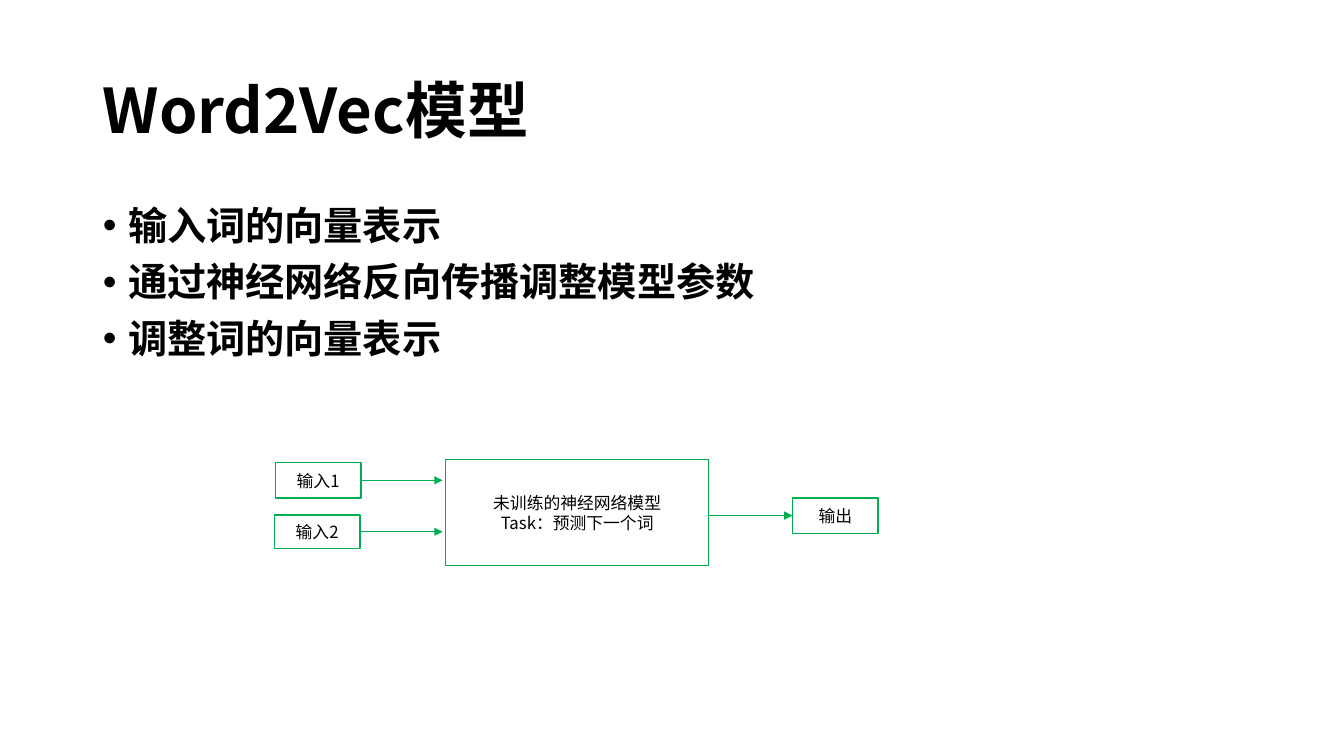
from lxml import etree
from pptx import Presentation
from pptx import util as u
from pptx.dml.color import RGBColor
from pptx.enum import shapes, text
from pptx.oxml import ns

BLACK = RGBColor(0x00, 0x00, 0x00)
GREEN = RGBColor(0x00, 0xB0, 0x50)


class ModelSlide:
    """Hold the style and the current slide, and draw each kind of element."""

    font = "Noto Sans CJK SC"

    def __init__(self, page):
        self.page = page

    def set_words(self, frame, words, size, align, bold=False):
        frame.text = words
        frame.word_wrap = True
        frame.auto_size = text.MSO_AUTO_SIZE.NONE
        for para in frame.paragraphs:
            para.alignment = align
            for span in para.runs:
                span.font.size = u.Pt(size)
                span.font.bold = bold
                span.font.color.rgb = BLACK
                span.font.name = self.font
                properties = span._r.get_or_add_rPr()
                etree.SubElement(properties, ns.qn("a:ea"), typeface=self.font)

    def place(self, holder, left, top, width, height):
        holder.left, holder.top = u.Inches(left), u.Inches(top)
        holder.width, holder.height = u.Inches(width), u.Inches(height)

    def title(self, words):
        holder = self.page.shapes.title
        self.place(holder, 0.92, 0.4, 11.5, 1.45)
        self.set_words(holder.text_frame, words, 44, text.PP_ALIGN.LEFT, bold=True)
        holder.text_frame.vertical_anchor = text.MSO_ANCHOR.MIDDLE
        holder.text_frame.paragraphs[0].line_spacing = 0.9

    def bullets(self, items):
        holder = self.page.placeholders[1]
        self.place(holder, 0.92, 2, 11.67, 2.12)
        frame = holder.text_frame
        self.set_words(frame, "\n".join(items), 28, text.PP_ALIGN.LEFT, bold=True)
        for index, para in enumerate(frame.paragraphs):
            properties = para._p.get_or_add_pPr()
            properties.set("marL", str(u.Inches(0.25)))
            properties.set("indent", str(u.Inches(-0.25)))
            para.line_spacing = 0.9
            para.space_before = u.Pt(10 if index else 0)

    def box(self, words, left, top, width=0.85, height=0.35):
        box = self.page.shapes.add_shape(
            shapes.MSO_SHAPE.RECTANGLE,
            u.Inches(left), u.Inches(top), u.Inches(width), u.Inches(height))
        box.shadow.inherit = False
        box.fill.background()
        box.line.color.rgb = GREEN
        box.line.width = u.Pt(1)
        self.set_words(box.text_frame, words, 12, text.PP_ALIGN.CENTER)
        box.text_frame.vertical_anchor = text.MSO_ANCHOR.MIDDLE
        return box

    def arrow(self, start, end, level):
        arrow = self.page.shapes.add_connector(
            shapes.MSO_CONNECTOR.STRAIGHT, start, level, end, level)
        arrow.line.color.rgb = GREEN
        arrow.line.width = u.Pt(0.5)
        outline = arrow._element.spPr.find(ns.qn("a:ln"))
        etree.SubElement(outline, ns.qn("a:tailEnd"), type="triangle")
        etree.SubElement(arrow._element.spPr, ns.qn("a:effectLst"))
        return arrow


def main():
    deck = Presentation()
    deck.slide_width, deck.slide_height = u.Inches(13.33), u.Inches(7.5)
    slide = ModelSlide(deck.slides.add_slide(deck.slide_layouts[1]))

    slide.title("Word2Vec模型")
    slide.bullets(["输入词的向量表示", "通过神经网络反向传播调整模型参数", "调整词的向量表示"])

    model = slide.box("未训练的神经网络模型\nTask：预测下一个词", 4.42, 4.56, 2.61, 1.05)
    output = slide.box("输出", 7.86, 4.94)
    inputs = [slide.box("输入1", 2.73, 4.59), slide.box("输入2", 2.72, 5.11, height=0.33)]

    for source in inputs:
        middle = source.top + source.height // 2
        arrow = slide.arrow(source.left + source.width, u.Inches(4.39), middle)
        arrow.begin_connect(source, 3)
    middle = output.top + output.height // 2
    arrow = slide.arrow(model.left + model.width, output.left, middle)
    arrow.end_connect(output, 1)

    deck.save("out.pptx")


if __name__ == "__main__":
    main()
